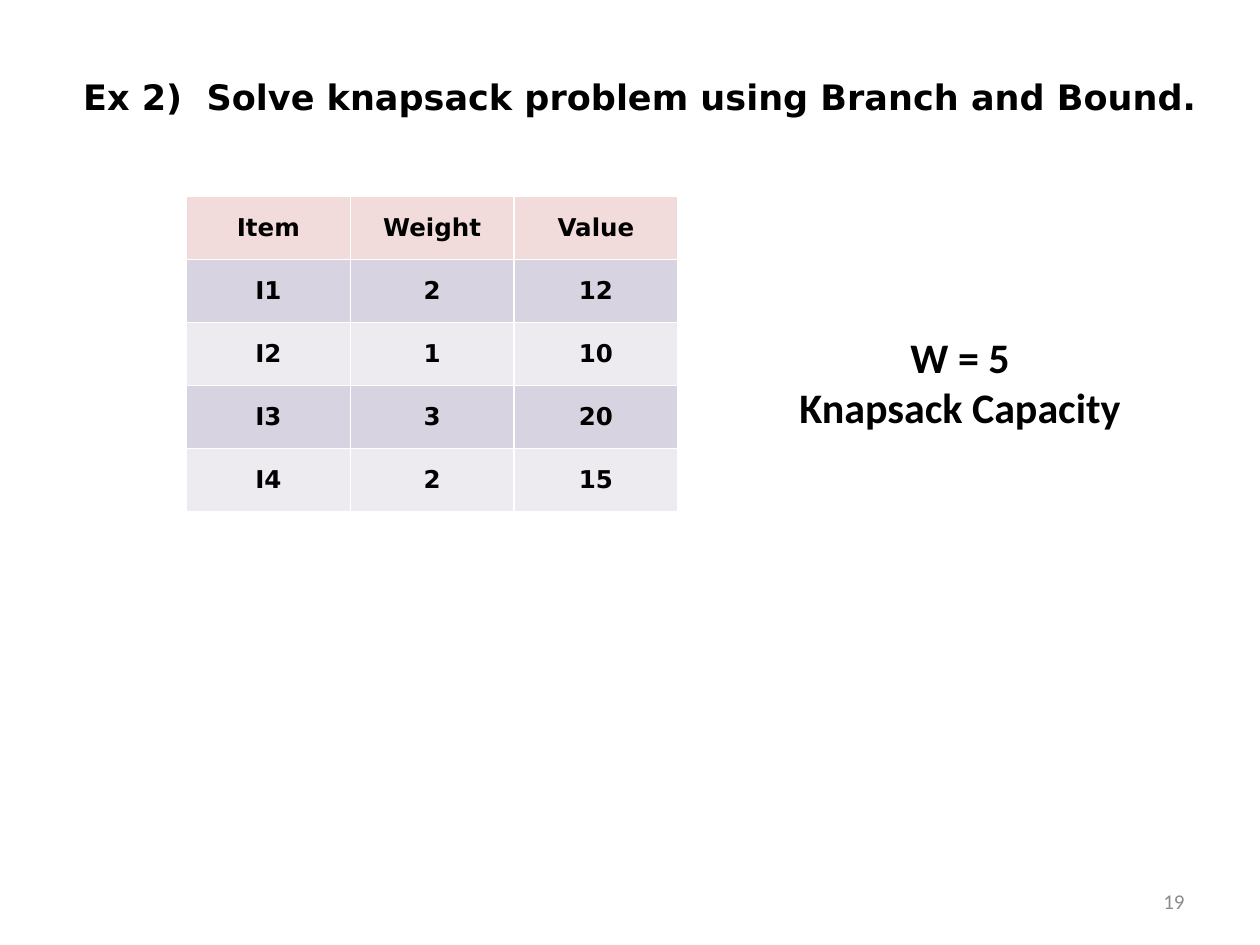
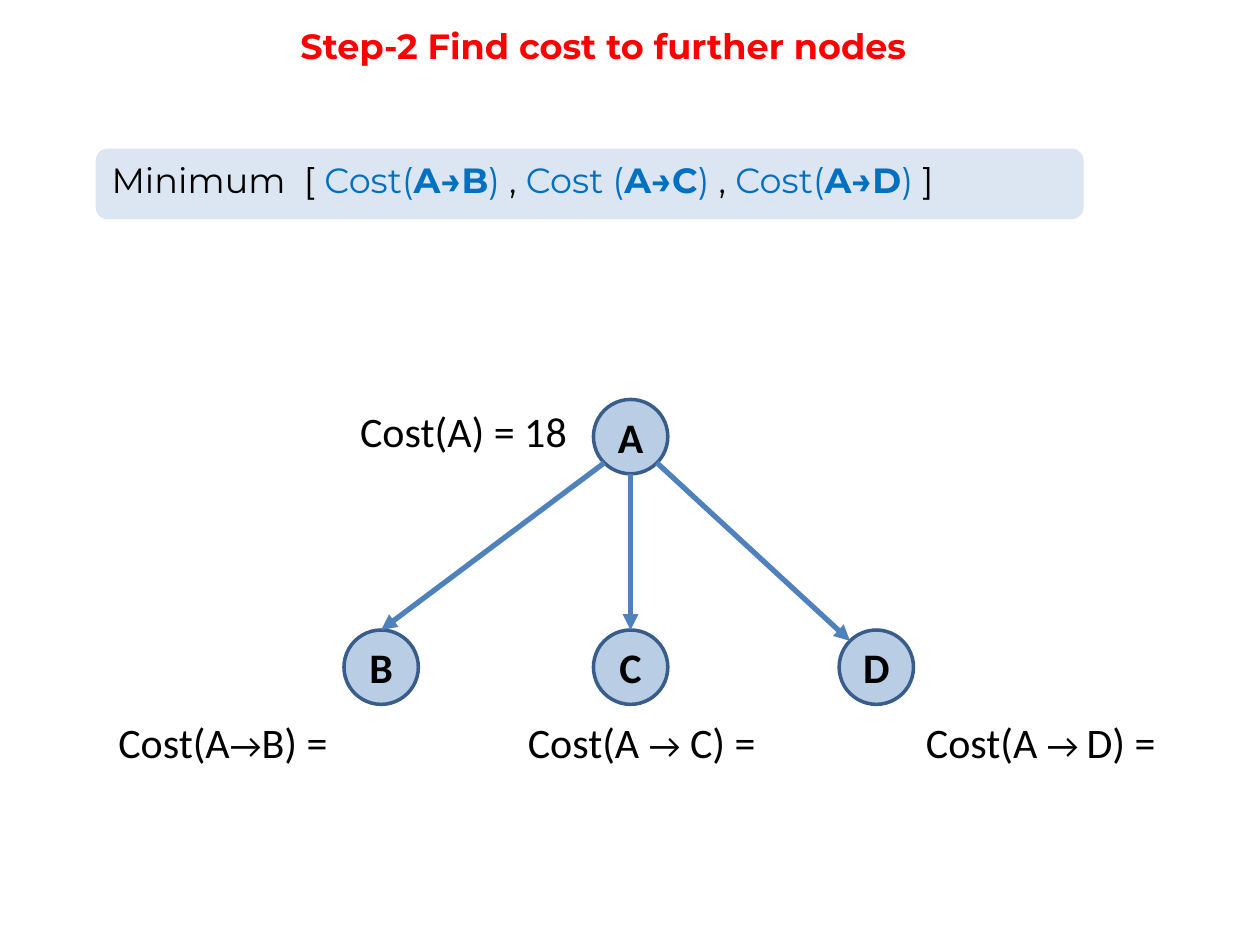
from math import cos, radians, sin

from lxml.etree import SubElement
from pptx import Presentation
from pptx.dml.color import RGBColor
from pptx.enum.shapes import MSO_CONNECTOR, MSO_SHAPE
from pptx.enum.text import MSO_ANCHOR, PP_ALIGN
from pptx.oxml import parse_xml
from pptx.oxml.ns import nsdecls, qn
from pptx.util import Inches, Pt

COLOURS = {
    "text": "000000", "title": "FF0000", "cost": "0070C0", "page": "8C8C8C",
    "header": "F2DCDB", "odd_row": "D8D3E0", "even_row": "EDEAF0", "border": "FFFFFF",
    "node": "B9CDE5", "node_line": "385D8A", "edge": "4F81BD", "formula": "DCE6F2",
}
BODY_FONT, TABLE_FONT, TITLE_FONT = "Calibri", "DejaVu Sans", "Montserrat"

EXERCISE = "Ex 2)  Solve knapsack problem using Branch and Bound."
ITEMS = [
    ("Item", "Weight", "Value"),
    ("I1", "2", "12"),
    ("I2", "1", "10"),
    ("I3", "3", "20"),
    ("I4", "2", "15"),
]
CAPACITY = ["W = 5", "Knapsack Capacity"]
PAGE_NUMBER = "19"

STEP = "Step-2 Find cost to further nodes"
COST, MOVE = {"colour": "cost"}, {"colour": "cost", "bold": True}
FORMULA = [
    ("Minimum  [ ", {}),
    ("Cost(", COST), ("A→B", MOVE), (") ", COST), (",", {}),
    (" Cost (", COST), ("A→C", MOVE), (") ", COST), (", ", {}),
    ("Cost(", COST), ("A→D", MOVE), (") ", COST), ("]", {}),
]
NODE_SIZE = 0.59
NODES = {"A": (4.71, 3.17), "B": (2.73, 5), "C": (4.71, 5), "D": (6.66, 5)}
# child, angle where the arrow leaves A, angle where it meets the child
# (degrees clockwise from the right)
EDGES = [("C", 90, 270), ("D", 45, 225), ("B", 135, 270)]
ARROW = {"size": 20}
COST_LABELS = [
    (0.84, [("Cost(A", {}), ("→", ARROW), ("B) =", {})]),
    (4.09, [("Cost(A ", {}), ("→", ARROW), (" C) =", {})]),
    (7.25, [("Cost(A ", {}), ("→ ", ARROW), ("D) =", {})]),
]


def rgb(name):
    return RGBColor.from_string(COLOURS[name])


def write(frame, paragraphs, size, font=BODY_FONT, colour="text", bold=False,
          align=PP_ALIGN.LEFT, anchor=MSO_ANCHOR.TOP):
    """Fill a text frame; a paragraph is a string or a list of (text, changes)."""
    frame.word_wrap = True
    frame.vertical_anchor = anchor
    for index, spans in enumerate(paragraphs):
        para = frame.add_paragraph() if index else frame.paragraphs[0]
        para.alignment = align
        for text, changes in [(spans, {})] if isinstance(spans, str) else spans:
            span = para.add_run()
            span.text = text
            span.font.name = font
            span.font.size = Pt(changes.get("size", size))
            span.font.bold = changes.get("bold", bold)
            span.font.color.rgb = rgb(changes.get("colour", colour))


def add_text(slide, place, paragraphs, size, **style):
    box = slide.shapes.add_textbox(*map(Inches, place))
    write(box.text_frame, paragraphs, size, **style)
    return box


def add_filled(slide, kind, place, fill):
    shape = slide.shapes.add_shape(kind, *map(Inches, place))
    shape.shadow.inherit = False
    shape.fill.solid()
    shape.fill.fore_color.rgb = rgb(fill)
    shape.line.fill.background()
    return shape


def set_borders(cell):
    properties = cell._tc.get_or_add_tcPr()
    for index, side in enumerate("LRTB"):
        properties.insert(index, parse_xml(
            f'<a:ln{side} {nsdecls("a")} w="{Pt(1)}"><a:solidFill>'
            f'<a:srgbClr val="{COLOURS["border"]}"/></a:solidFill></a:ln{side}>'))


def add_item_table(slide):
    table = slide.shapes.add_table(
        len(ITEMS), len(ITEMS[0]), Inches(1.48), Inches(1.56), Inches(3.9), Inches(2.5)).table
    for column in table.columns:
        column.width = Inches(1.3)
    for row, values in enumerate(ITEMS):
        fill = "header" if row == 0 else "odd_row" if row % 2 else "even_row"
        for column, value in enumerate(values):
            cell = table.cell(row, column)
            cell.fill.solid()
            cell.fill.fore_color.rgb = rgb(fill)
            cell.vertical_anchor = MSO_ANCHOR.MIDDLE
            set_borders(cell)
            para = cell.text_frame.paragraphs[0]
            para.text = value
            para.alignment = PP_ALIGN.CENTER
            font = para.runs[0].font
            font.name, font.size, font.bold = TABLE_FONT, Pt(14), True
            font.color.rgb = rgb("text")


def add_node(slide, name):
    node = add_filled(slide, MSO_SHAPE.OVAL, (*NODES[name], NODE_SIZE, NODE_SIZE), "node")
    node.line.color.rgb = rgb("node_line")
    node.line.width = Pt(2)
    frame = node.text_frame
    frame.margin_left = frame.margin_right = frame.margin_top = frame.margin_bottom = 0
    write(frame, [name], 24, bold=True, align=PP_ALIGN.CENTER, anchor=MSO_ANCHOR.MIDDLE)
    return node


def rim_point(name, angle):
    """Point on the outline of a node."""
    left, top = NODES[name]
    radius = NODE_SIZE / 2
    return (Inches(left + radius + radius * cos(radians(angle))),
            Inches(top + radius + radius * sin(radians(angle))))


def add_edge(slide, nodes, child, leave, meet):
    edge = slide.shapes.add_connector(
        MSO_CONNECTOR.STRAIGHT, *rim_point("A", leave), *rim_point(child, meet))
    if meet == 270:
        edge.end_connect(nodes[child], 0)
    edge.line.color.rgb = rgb("edge")
    edge.line.width = Pt(3)
    SubElement(edge.line._get_or_add_ln(), qn("a:tailEnd"), type="triangle")
    SubElement(edge._element.spPr, qn("a:effectLst"))


def build_exercise(slide):
    heading = add_text(slide, (0.1, 0.55, 9.58, 0.78), [EXERCISE], 20,
                       font=TABLE_FONT, bold=True)
    heading.text_frame.margin_left = Inches(0.56)
    heading.text_frame.margin_right = 0
    add_item_table(slide)
    add_text(slide, (5.94, 2.58, 3.36, 0.91), CAPACITY, 24, bold=True, align=PP_ALIGN.CENTER)
    add_text(slide, (7.17, 6.95, 2.33, 0.4), [PAGE_NUMBER], 12, colour="page",
             align=PP_ALIGN.RIGHT, anchor=MSO_ANCHOR.MIDDLE)


def build_step(slide):
    add_text(slide, (0, -0.08, 9.58, 0.88), [STEP], 20, font=TITLE_FONT, colour="title",
             bold=True, align=PP_ALIGN.CENTER, anchor=MSO_ANCHOR.MIDDLE)
    nodes = {name: add_node(slide, name) for name in NODES}
    add_text(slide, (2.76, 3.17, 1.97, 0.51), ["Cost(A) = 18"], 24)
    for edge in EDGES:
        add_edge(slide, nodes, *edge)
    for left, label in COST_LABELS:
        add_text(slide, (left, 5.64, 2.31, 0.51), [label], 24)
    band = add_filled(slide, MSO_SHAPE.ROUNDED_RECTANGLE, (0.76, 1.18, 7.84, 0.56), "formula")
    write(band.text_frame, [FORMULA], 20, font=TITLE_FONT, align=PP_ALIGN.JUSTIFY)


def main():
    deck = Presentation()
    deck.slide_width, deck.slide_height = Inches(10), Inches(7.5)
    for build in (build_exercise, build_step):
        build(deck.slides.add_slide(deck.slide_layouts[6]))
    deck.save("out.pptx")


if __name__ == "__main__":
    main()
